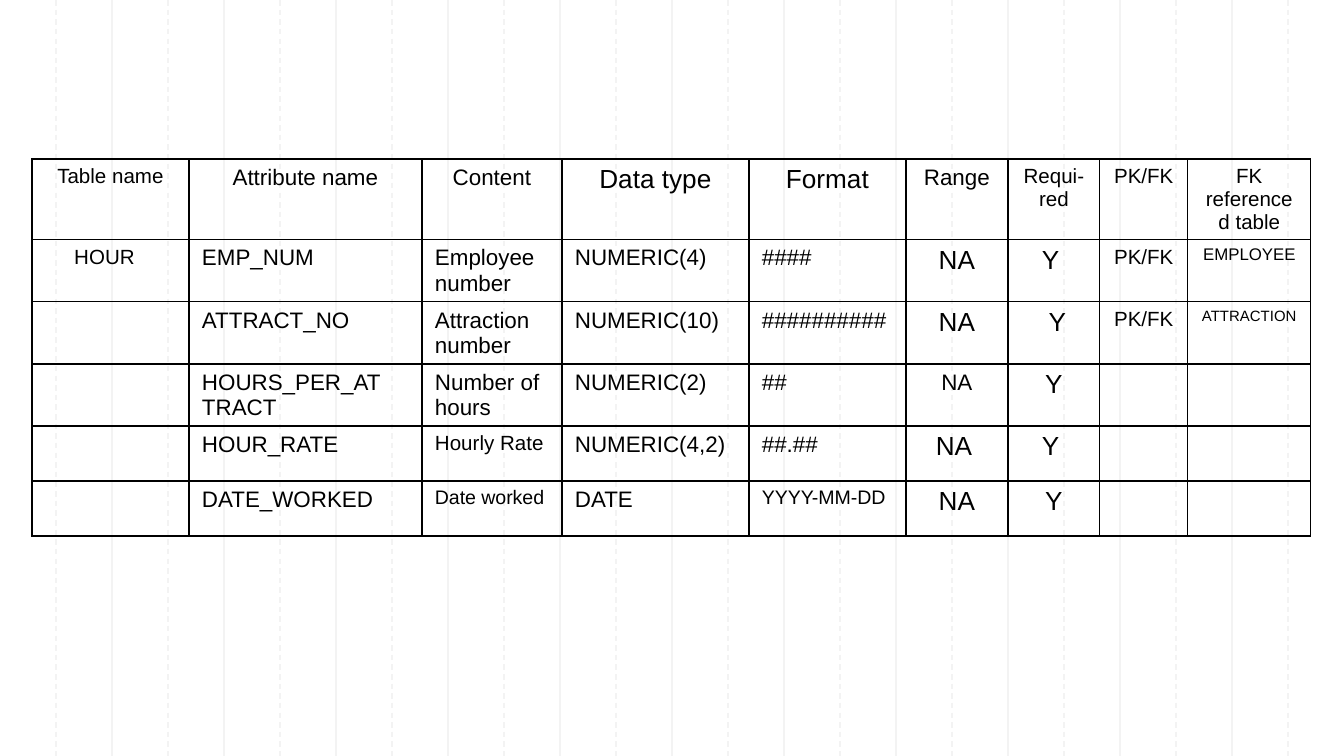
"""Build a data dictionary slide for the HOUR table over a faint column grid."""
from dataclasses import dataclass

from pptx import Presentation
from pptx import util as u
from pptx.dml.color import RGBColor
from pptx.enum import dml, shapes, text
from pptx.oxml.ns import qn
from lxml import etree

SLIDE_W, SLIDE_H = 1344, 756
GUIDE_STEP = 56
TABLE_LEFT, TABLE_TOP = 32, 159
COLUMN_WIDTHS = (157, 233, 140, 187, 157, 102, 92, 88, 123)
ROW_HEIGHTS = (50, 55, 55, 55, 55, 55)
PAD_X, PAD_Y = 13, 6
CENTRED_COLUMNS = (0, 5, 6, 7, 8)
BLACK, GUIDE_GREY, WHITE = "000000", "F3F3F3", "FFFFFF"


@dataclass
class Entry:
    label: str
    size: float = 12
    shift: int = 0


EMPTY = Entry("")
KEY = Entry("PK/FK", 11)
NOT_APPLICABLE = Entry("NA", 14)
REQUIRED = Entry("Y", 14)
REQUIRED_LEFT = Entry("Y ", 14)

DICTIONARY = (
    (Entry("Table name", 11), Entry("Attribute name"), Entry("Content"),
     Entry("Data type", 14), Entry("Format", 14), Entry("Range"),
     Entry("Requi-red", 11), KEY, Entry("FK referenced table", 11)),
    (Entry("HOUR", 11, 6), Entry("EMP_NUM"), Entry("Employee number"),
     Entry("NUMERIC(4)"), Entry("####"), NOT_APPLICABLE, REQUIRED_LEFT,
     KEY, Entry("EMPLOYEE", 9)),
    (EMPTY, Entry("ATTRACT_NO"), Entry("Attraction number"),
     Entry("NUMERIC(10)"), Entry("##########"), NOT_APPLICABLE,
     Entry(" Y", 14), KEY, Entry("ATTRACTION", 8)),
    (EMPTY, Entry("HOURS_PER_AT TRACT"), Entry("Number of hours"),
     Entry("NUMERIC(2)"), Entry("##"), Entry("NA"), REQUIRED, EMPTY, EMPTY),
    (EMPTY, Entry("HOUR_RATE"), Entry("Hourly Rate", 11),
     Entry("NUMERIC(4,2)"), Entry("##.##"), Entry("NA ", 14),
     REQUIRED_LEFT, EMPTY, EMPTY),
    (EMPTY, Entry("DATE_WORKED"), Entry("Date worked", 10.5),
     Entry("DATE"), Entry("YYYY-MM-DD", 10.5), NOT_APPLICABLE, REQUIRED,
     EMPTY, EMPTY),
)


def px(length: int) -> int:
    return u.Emu(round(length * 914400 / 134.4))


def colour(value: str) -> RGBColor:
    return RGBColor.from_string(value)


def draw_guide(slide, x: int, dashed: bool) -> None:
    guide = slide.shapes.add_connector(
        shapes.MSO_CONNECTOR.STRAIGHT, px(x), 0, px(x), px(SLIDE_H))
    guide.line.color.rgb = colour(GUIDE_GREY)
    guide.line.width = u.Pt(0.75)
    if dashed:
        guide.line.dash_style = dml.MSO_LINE.DASH
    etree.SubElement(guide._element.spPr, qn("a:effectLst"))


def draw_borders(cell) -> None:
    properties = cell._tc.get_or_add_tcPr()
    for position, side in enumerate(("lnL", "lnR", "lnT", "lnB")):
        border = etree.Element(qn(f"a:{side}"), w=str(u.Pt(0.75)))
        fill = etree.SubElement(border, qn("a:solidFill"))
        etree.SubElement(fill, qn("a:srgbClr"), val=BLACK)
        properties.insert(position, border)


def fill_cell(cell, entry: Entry, centred: bool) -> None:
    cell.fill.background()
    cell.margin_left = px(PAD_X)
    cell.margin_right = px(PAD_X + 2 * entry.shift)
    cell.margin_top = cell.margin_bottom = px(PAD_Y)
    draw_borders(cell)
    if not entry.label:
        return
    paragraph = cell.text_frame.paragraphs[0]
    paragraph.alignment = text.PP_ALIGN.CENTER if centred else text.PP_ALIGN.LEFT
    run = paragraph.add_run()
    run.text = entry.label
    run.font.name = "Arial"
    run.font.size = u.Pt(entry.size)
    run.font.color.rgb = colour(BLACK)


def draw_dictionary(slide) -> None:
    table = slide.shapes.add_table(
        len(ROW_HEIGHTS), len(COLUMN_WIDTHS), px(TABLE_LEFT), px(TABLE_TOP),
        px(sum(COLUMN_WIDTHS)), px(sum(ROW_HEIGHTS))).table
    table.first_row = table.horz_banding = False
    for column, width in zip(table.columns, COLUMN_WIDTHS):
        column.width = px(width)
    for row, height in zip(table.rows, ROW_HEIGHTS):
        row.height = px(height)
    for r, entries in enumerate(DICTIONARY):
        for c, entry in enumerate(entries):
            fill_cell(table.cell(r, c), entry, r == 0 or c in CENTRED_COLUMNS)


def main() -> None:
    deck = Presentation()
    deck.slide_width, deck.slide_height = px(SLIDE_W), px(SLIDE_H)
    slide = deck.slides.add_slide(deck.slide_layouts[6])
    slide.background.fill.solid()
    slide.background.fill.fore_color.rgb = colour(WHITE)
    for first, dashed in ((2 * GUIDE_STEP, False), (GUIDE_STEP, True)):
        for x in range(first, SLIDE_W, 2 * GUIDE_STEP):
            draw_guide(slide, x, dashed)
    draw_dictionary(slide)
    deck.save("out.pptx")


if __name__ == "__main__":
    main()
